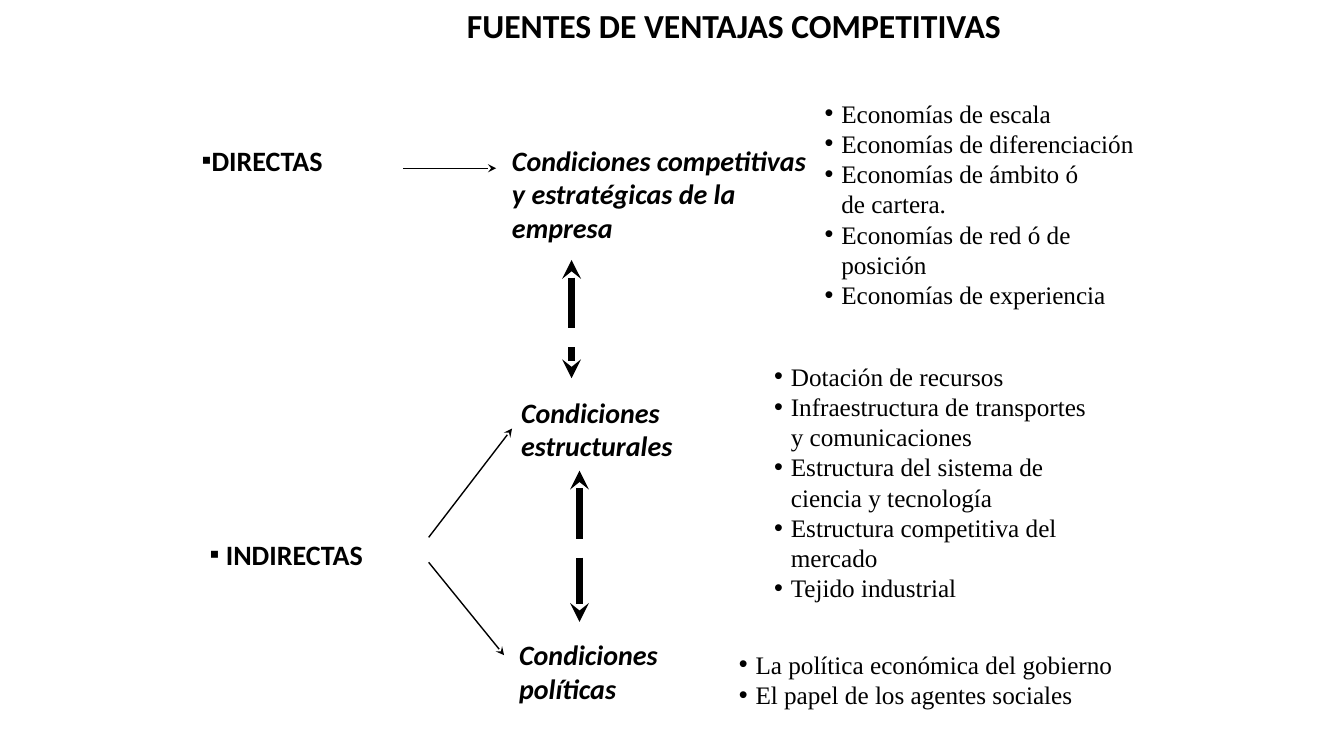
"""Build the slide on the sources of competitive advantage."""
from lxml.etree import SubElement
from pptx import Presentation
from pptx.dml.color import RGBColor
from pptx.enum.dml import MSO_LINE
from pptx.enum.shapes import MSO_CONNECTOR
from pptx.enum.text import MSO_ANCHOR, MSO_AUTO_SIZE, PP_ALIGN
from pptx.oxml.ns import qn
from pptx.util import Cm, Pt

COLORS = {"ink": "000000", "page": "FFFFFF"}
SANS, SERIF = "Calibri", "Times New Roman"


class Deck:
    """Hold the style and the current slide."""

    def __init__(self, show):
        self.ink = RGBColor.from_string(COLORS["ink"])
        self.slide = show.slides.add_slide(show.slide_layouts[4])
        fill = self.slide.background.fill
        fill.solid()
        fill.fore_color.rgb = RGBColor.from_string(COLORS["page"])
        self.holders = list(self.slide.placeholders)

    def put(self, shape, box, lines, size, face=SANS, bold=True, slant=False):
        """Place a shape and fill it with styled lines."""
        shape.left, shape.top, shape.width, shape.height = map(Cm, box)
        frame = shape.text_frame
        frame.text = "\n".join(lines)
        frame.word_wrap = True
        frame.auto_size = MSO_AUTO_SIZE.NONE
        frame.vertical_anchor = MSO_ANCHOR.TOP
        for para in frame.paragraphs:
            para.alignment = PP_ALIGN.LEFT
            para.line_spacing = 1.0
            para.space_before = para.space_after = Pt(0)
            for run in para.runs:
                font = run.font
                font.name, font.size = face, Pt(size)
                font.bold, font.italic = bold, slant
                font.color.rgb = self.ink
        return frame.paragraphs

    def bullet(self, para, mark, indent):
        """Indent a paragraph, hanging it from its mark if it has one."""
        props = para._p.get_or_add_pPr()
        props.set("marL", str(Cm(indent)))
        props.set("indent", str(-Cm(indent) if mark else 0))
        if mark:
            SubElement(props, qn("a:buFont"), typeface="Arial")
            SubElement(props, qn("a:buChar"), char=mark)
        else:
            SubElement(props, qn("a:buNone"))

    def title(self, text, box):
        """Fill the title placeholder."""
        self.put(self.holders.pop(0), box, [text], 24)

    def items(self, box, rows):
        """Fill the next body placeholder; each row is a tuple of lines."""
        lines = [line for row in rows for line in row]
        marks = ["" if n else "•" for row in rows for n in range(len(row))]
        paras = self.put(self.holders.pop(0), box, lines, 18, SERIF, False)
        for para, mark in zip(paras, marks):
            self.bullet(para, mark, 0.42)

    def label(self, box, *lines, slant=True):
        """Add a bold text box."""
        shape = self.slide.shapes.add_textbox(0, 0, 0, 0)
        return self.put(shape, box, lines, 20, slant=slant)

    def source(self, box, text, indent):
        """Add a label with a square bullet."""
        self.bullet(self.label(box, text, slant=False)[0], "▪", indent)

    def arrow(self, start, end, both=False):
        """Add a thin arrow, or a thick dashed one with two heads."""
        link = self.slide.shapes.add_connector(
            MSO_CONNECTOR.STRAIGHT, *map(Cm, start + end))
        link.line.color.rgb = self.ink
        link.line.width = Pt(4.5 if both else 1)
        if both:
            link.line.dash_style = MSO_LINE.LONG_DASH
        props = link._element.spPr
        edge = props.find(qn("a:ln"))
        for tag in ("a:headEnd", "a:tailEnd") if both else ("a:tailEnd",):
            SubElement(edge, qn(tag), type="stealth")
        SubElement(props, qn("a:effectLst"))

    def clean(self):
        """Remove the placeholders left empty."""
        for holder in self.holders:
            holder._element.getparent().remove(holder._element)


show = Presentation()
show.slide_width, show.slide_height = Cm(33.86), Cm(19.05)
deck = Deck(show)

deck.title("FUENTES DE VENTAJAS COMPETITIVAS", (11.51, 0, 14.22, 1.27))
deck.source((4.83, 3.48, 4.2, 1.12), "DIRECTAS", 0.25)
deck.source((5.03, 13.41, 4.8, 1.12), "INDIRECTAS", 0.41)

deck.label((12.65, 3.48, 8.2, 3.68), "Condiciones competitivas",
           "y estratégicas de la", "empresa")
deck.label((12.88, 9.83, 4.8, 1.96), "Condiciones", "estructurales")
deck.label((12.83, 15.95, 5.03, 1.96), "Condiciones", "políticas")

deck.items((20.52, 2.34, 8.69, 6.35), [
    ("Economías de escala",),
    ("Economías de diferenciación",),
    ("Economías de ámbito ó", "de cartera."),
    ("Economías de red ó de", "posición"),
    ("Economías de experiencia",),
])
deck.items((19.25, 8.97, 9.14, 7.11), [
    ("Dotación de recursos",),
    ("Infraestructura de transportes", "y comunicaciones"),
    ("Estructura del sistema de", "ciencia y tecnología"),
    ("Estructura competitiva del", "mercado"),
    ("Tejido industrial",),
])
deck.items((18.36, 16.23, 10.19, 1.78), [
    ("La política económica del gobierno",),
    ("El papel de los agentes sociales",),
])
deck.clean()

deck.arrow((10.16, 4.24), (12.5, 4.24))
deck.arrow((10.8, 13.54), (12.9, 10.8))
deck.arrow((10.8, 14.17), (12.7, 16.51))
deck.arrow((14.4, 6.55), (14.4, 9.53), both=True)
deck.arrow((14.6, 11.86), (14.6, 15.67), both=True)

show.save("out.pptx")
